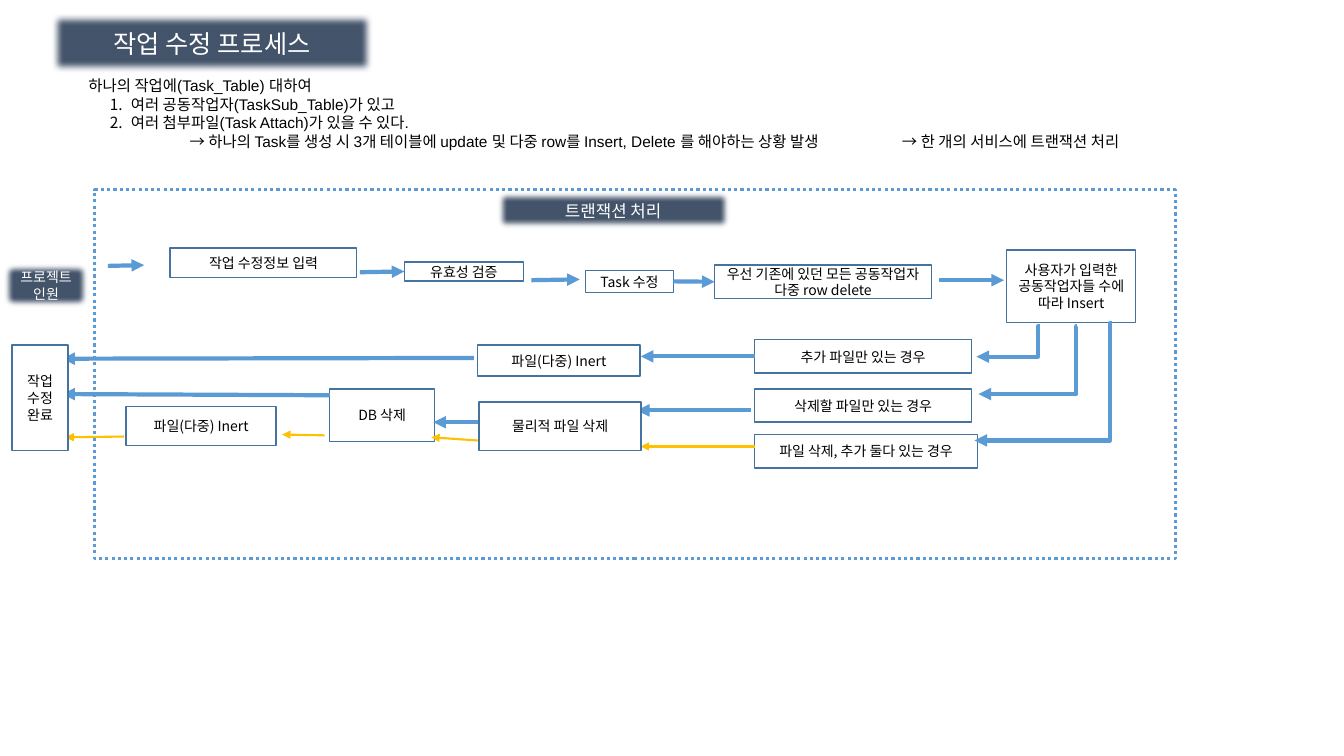
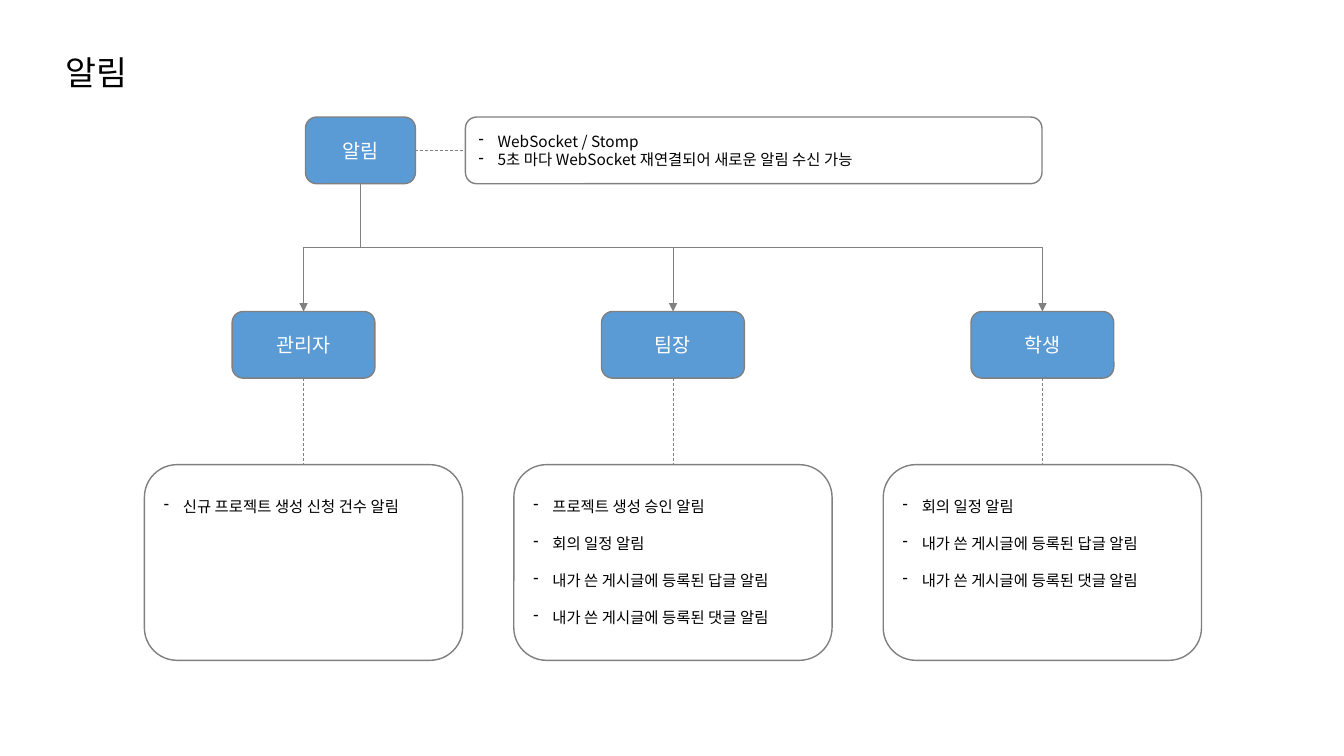
import pptx
import pptx.util
import pptx.dml.color
import pptx.enum.dml
import pptx.enum.shapes
import pptx.enum.text
import pptx.oxml.ns
import lxml.etree

Cm, Pt = pptx.util.Cm, pptx.util.Pt
RGBColor = pptx.dml.color.RGBColor
SHAPE = pptx.enum.shapes.MSO_SHAPE
LINK = pptx.enum.shapes.MSO_CONNECTOR
DASH = pptx.enum.dml.MSO_LINE
ALIGN = pptx.enum.text.PP_ALIGN
ANCHOR = pptx.enum.text.MSO_ANCHOR

WHITE = RGBColor(0xFF, 0xFF, 0xFF)
BLACK = RGBColor(0, 0, 0)
NAVY = RGBColor(0x44, 0x54, 0x6A)
EDGE = RGBColor(0x43, 0x73, 0x9E)
BLUE = RGBColor(0x5B, 0x9B, 0xD5)
GOLD = RGBColor(0xFF, 0xC0, 0x00)
GREY = RGBColor(0x80, 0x80, 0x80)
FONT = "Noto Sans CJK KR"

STEP = dict(fill=WHITE, line=EDGE, color=BLACK, size=10)
BADGE = dict(fill=NAVY, line=EDGE, color=WHITE, soft=True)
NODE = dict(kind=SHAPE.ROUNDED_RECTANGLE, fill=BLUE, line=GREY, color=WHITE, size=14)
CARD = dict(kind=SHAPE.ROUNDED_RECTANGLE, fill=WHITE, line=GREY, color=BLACK,
            size=11, align=ALIGN.LEFT, bullet=True)
FLOW = dict(color=BLUE, width=3, head=True)
FILE_FLOW = dict(color=GOLD, width=1.5, head=True)
TREE = dict(color=GREY, width=0.5, head=True)
DASHED = dict(color=GREY, width=0.5, dash=DASH.DASH)


def add_xml(parent, tag, **attrs):
    return lxml.etree.SubElement(parent, pptx.oxml.ns.qn(tag), attrs)


def set_all(target, values):
    for name, value in values.items():
        setattr(target, name, value)


def add_marker(p, tag, indent, hang, **attrs):
    pPr = p._p.get_or_add_pPr()
    pPr.set("marL", str(Cm(indent)))
    pPr.set("indent", str(-Cm(hang)))
    add_xml(pPr, tag, **attrs)


def write(tf, lines, size, color, align=ALIGN.CENTER, gap=0, font=FONT, bullet=False):
    for i, line in enumerate(lines):
        p = tf.paragraphs[0] if i == 0 else tf.add_paragraph()
        set_all(p, dict(alignment=align, line_spacing=Pt(1.2 * size),
                        space_before=Pt(0), space_after=Pt(gap)))
        r = p.add_run()
        r.text = line
        set_all(r.font, dict(name=font, size=Pt(size), bold=False))
        r.font.color.rgb = color
        add_xml(r._r.get_or_add_rPr(), "a:ea", typeface=FONT)
        if bullet:
            add_marker(p, "a:buChar", 0.48, 0.48, char="-")


def style(sp, lines, fill=None, line=EDGE, width=1, dash=None, soft=False,
          size=10, color=BLACK, anchor=ANCHOR.MIDDLE, margin_top=0.13, **text):
    if fill is None:
        sp.fill.background()
    else:
        sp.fill.solid()
        sp.fill.fore_color.rgb = fill
    sp.line.color.rgb = line
    set_all(sp.line, dict(width=Pt(width), dash_style=dash))
    sp.shadow.inherit = False
    if soft:
        effects = sp._element.spPr.find(pptx.oxml.ns.qn("a:effectLst"))
        add_xml(effects, "a:softEdge", rad="63500")
    tf = sp.text_frame
    set_all(tf, dict(word_wrap=True, auto_size=pptx.enum.text.MSO_AUTO_SIZE.NONE,
                     vertical_anchor=anchor, margin_top=Cm(margin_top)))
    write(tf, lines, size, color, **text)


def add_box(s, box, lines, kind=SHAPE.RECTANGLE, **look):
    sp = s.shapes.add_shape(kind, *map(Cm, box))
    style(sp, lines, **look)
    return sp


def add_line(s, start, end, color, width, head=False, dash=None,
             bend=None, turn=0, begin=None, finish=None):
    kind = LINK.STRAIGHT if bend is None else LINK.ELBOW
    c = s.shapes.add_connector(kind, *map(Cm, (*start, *end)))
    c.line.color.rgb = color
    set_all(c.line, dict(width=Pt(width), dash_style=dash))
    spPr = c._element.spPr
    if head:
        add_xml(c.line._get_or_add_ln(), "a:tailEnd", type="triangle")
    add_xml(spPr, "a:effectLst")
    if bend is not None:
        guides = spPr.prstGeom.get_or_add_avLst()
        add_xml(guides, "a:gd", name="adj1", fmla=f"val {round(bend * 1000)}")
    if turn:
        spPr.xfrm.set("rot", str(turn * 60000))
    if begin:
        c.begin_connect(*begin)
    if finish:
        c.end_connect(*finish)


def join(s, first, side, second, other, **look):
    add_line(s, (0, 0), (1, 1), begin=(first, side), finish=(second, other), **look)


def drop(s, start, end, **look):
    (x1, y1), (x2, y2) = start, end
    cx, cy = (x1 + x2) / 2, (y1 + y2) / 2
    half_w, half_h = (y2 - y1) / 2, abs(x2 - x1) / 2
    side, turn = (1, 270) if x2 > x1 else (-1, 90)
    add_line(s, (cx + side * half_w, cy - half_h), (cx - side * half_w, cy + half_h),
             bend=50, turn=turn, **look)


def add_titled_slide(prs, title, box, **look):
    s = prs.slides.add_slide(prs.slide_layouts[5])
    sp = s.shapes.title
    set_all(sp, dict(zip(("left", "top", "width", "height"), map(Cm, box))))
    style(sp, [title], **look)
    return s


def add_intro(s, box):
    sp = s.shapes.add_textbox(*map(Cm, box))
    tf = sp.text_frame
    tf.word_wrap = True
    write(tf, ["하나의 작업에(Task_Table) 대하여",
               "여러 공동작업자(TaskSub_Table)가 있고",
               "여러 첨부파일(Task Attach)가 있을 수 있다.",
               "\t→ 하나의 Task를 생성 시 3개 테이블에 update 및 다중 row를 "
               "Insert, Delete 를 해야하는 상황 발생\t→ 한 개의 서비스에 트랜잭션 처리"],
          11, BLACK, align=ALIGN.LEFT, font="Arial")
    for p in tf.paragraphs[1:3]:
        add_marker(p, "a:buAutoNum", 1.07, 0.53, type="arabicPeriod")
    tabs = add_xml(tf.paragraphs[3]._p.get_or_add_pPr(), "a:tabLst")
    for stop in (2.55, 20.5):
        add_xml(tabs, "a:tab", pos=str(Cm(stop)), algn="l")


def add_process(s, left, top):
    def at(x, y):
        return left + x, top + y

    def step(x, y, w, h, text, **look):
        return add_box(s, (*at(x, y), w, h), [text], **{**STEP, **look})

    add_box(s, (*at(2.39, 0), 27.23, 9.3), [], fill=WHITE, line=BLUE,
            width=2.25, dash=DASH.ROUND_DOT)
    step(12.47, 0, 5.97, 1.04, "트랜잭션 처리", **BADGE, size=12)
    step(0.03, 1.8, 2.26, 1.24, "프로젝트 인원", **BADGE)
    step(4.29, 1.47, 4.7, 0.74, "작업 수정정보 입력")
    check = step(10.19, 1.82, 3, 0.48, "유효성 검증")
    task = step(14.76, 2.03, 2.21, 0.56, "Task 수정")
    clear = step(18.01, 1.9, 5.46, 0.84, "우선 기존에 있던 모든 공동작업자 다중 row delete")
    step(25.37, 1.52, 3.25, 1.83, "사용자가 입력한 공동작업자들 수에 따라 Insert")
    add_only = step(19.02, 3.78, 5.46, 0.84, "추가 파일만 있는 경우")
    step(19.02, 5.02, 5.46, 0.84, "삭제할 파일만 있는 경우")
    step(19.02, 6.17, 5.61, 0.84, "파일 삭제, 추가 둘다 있는 경우")
    step(8.31, 5.02, 2.64, 1.32, "DB 삭제")
    step(12.04, 3.91, 4.09, 0.79, "파일(다중) Inert")
    step(3.18, 5.46, 3.78, 0.99, "파일(다중) Inert")

    join(s, task, 3, clear, 1, **FLOW)
    add_line(s, at(9.07, 2.08), at(10.19, 2.06), finish=(check, 1), **FLOW)
    add_line(s, at(19.02, 4.2), at(16.15, 4.2), begin=(add_only, 1), **FLOW)
    arrows = [
        (FLOW, [(2.72, 1.92, 3.63, 1.9), (13.39, 2.28, 14.61, 2.26),
                (23.67, 2.28, 25.3, 2.28), (18.92, 5.56, 16.05, 5.56),
                (12.12, 5.86, 10.92, 5.86), (11.94, 4.24, 1.57, 4.26),
                (8.31, 5.18, 1.57, 5.15)]),
        (FILE_FLOW, [(19.02, 6.47, 16.15, 6.47), (8.18, 6.19, 7.11, 6.17),
                     (3.12, 6.22, 1.65, 6.24), (12.04, 6.32, 10.87, 6.24)]),
    ]
    for look, runs in arrows:
        for x1, y1, x2, y2 in runs:
            add_line(s, at(x1, y1), at(x2, y2), **look)
    for x1, y1, x2, y2, bend in [(26.21, 3.45, 24.61, 4.21, 3.7),
                                 (27.15, 3.45, 24.66, 5.15, 1),
                                 (28.02, 3.37, 24.56, 6.32, 1.5)]:
        add_line(s, at(x1, y1), at(x2, y2), bend=bend, **FLOW)

    step(12.07, 5.35, 4.09, 1.22, "물리적 파일 삭제")
    step(0.3, 3.91, 1.42, 2.67, "작업 수정완료")


def add_source(s, left, top):
    root = add_box(s, (left, top, 2.77, 1.68), ["알림"], **NODE)
    note = add_box(s, (left + 4.03, top, 14.53, 1.68),
                   ["WebSocket / Stomp", "5초 마다 WebSocket 재연결되어 새로운 알림 수신 가능"],
                   **CARD)
    join(s, root, 3, note, 1, **DASHED)
    return left + 2.77 / 2, top + 1.68


def add_role(s, center, top, trunk, role, alerts):
    node = add_box(s, (center - 1.8, top, 3.6, 1.68), [role], **NODE)
    card = add_box(s, (center - 4.01, top + 3.86, 8.02, 4.93), alerts, **CARD,
                   anchor=ANCHOR.TOP, margin_top=0.57, gap=13.2)
    join(s, node, 2, card, 0, **DASHED)
    drop(s, trunk, (center, top), **TREE)


def main():
    prs = pptx.Presentation()
    set_all(prs, dict(slide_width=Cm(33.87), slide_height=Cm(19.05)))

    s = add_titled_slide(prs, "작업 수정 프로세스", (1.32, 0.36, 8.05, 1.45), **BADGE, size=18)
    add_intro(s, (1.98, 1.8, 29.11, 3.07))
    add_process(s, 0, 4.78)

    s = add_titled_slide(prs, "알림", (1.4, 1.19, 4.19, 1.27), line=WHITE,
                         width=0.75, size=24, align=ALIGN.LEFT)
    trunk = add_source(s, 7.7, 2.95)
    replies = ["회의 일정 알림", "내가 쓴 게시글에 등록된 답글 알림", "내가 쓴 게시글에 등록된 댓글 알림"]
    roles = [("관리자", ["신규 프로젝트 생성 신청 건수 알림"]),
             ("팀장", ["프로젝트 생성 승인 알림", *replies]),
             ("학생", replies)]
    for i, (role, alerts) in enumerate(roles):
        add_role(s, 7.65 + 9.31 * i, 7.85, trunk, role, alerts)

    prs.save("out.pptx")


if __name__ == "__main__":
    main()
